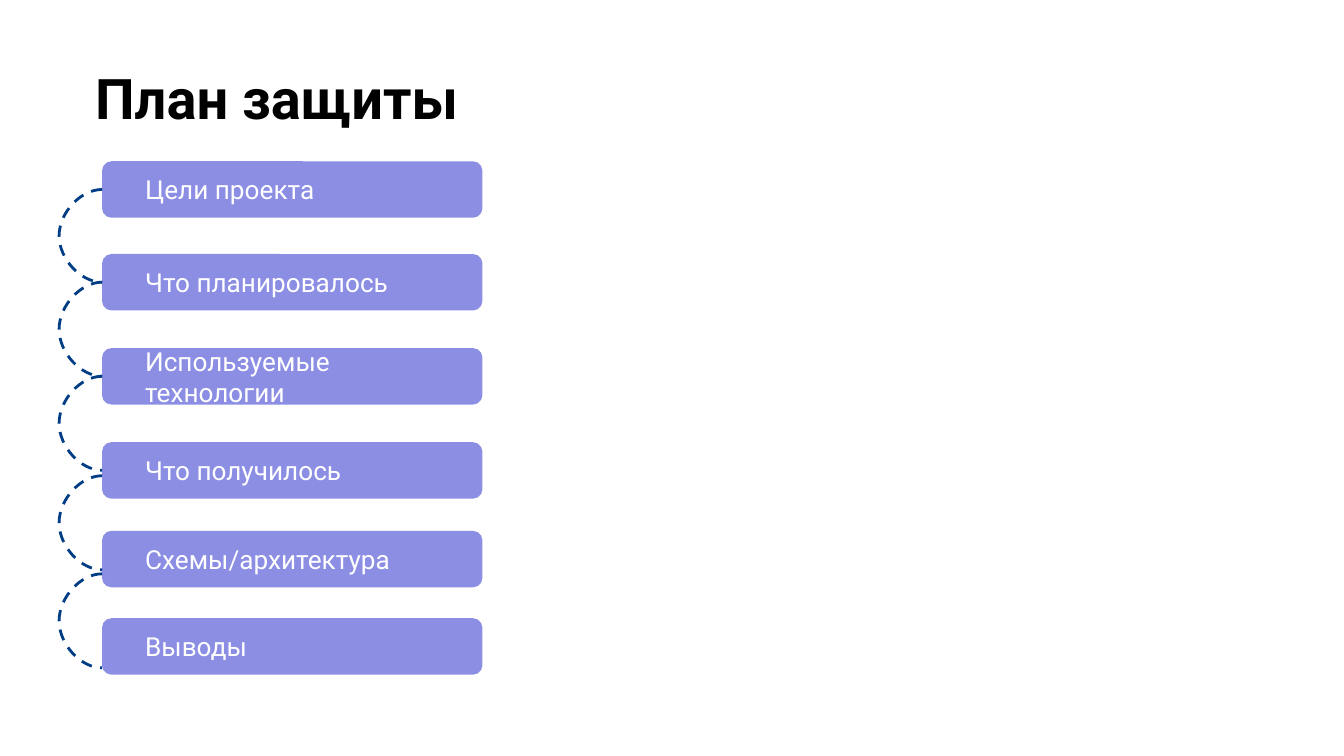
from dataclasses import dataclass

from pptx import Presentation
from pptx.dml.color import RGBColor
from pptx.enum.dml import MSO_LINE
from pptx.enum.shapes import MSO_CONNECTOR, MSO_SHAPE
from pptx.enum.text import MSO_ANCHOR, PP_ALIGN
from pptx.oxml import parse_xml
from pptx.oxml.ns import nsdecls, qn
from pptx.slide import Slide
from pptx.text.text import TextFrame
from pptx.util import Emu, Inches, Pt

COLORS = {"title": "000000", "box": "8B8EE3", "label": "FFFFFF", "curve": "013D85"}
FONT = "Roboto"
SLIDE_WIDTH = 10
SLIDE_HEIGHT = SLIDE_WIDTH * 9 / 16
BOX_LEFT, BOX_WIDTH, BOX_HEIGHT = 0.76, 2.83, 0.42
CURVE_SPAN = Emu(360)  # nearly vertical: the bulge is a multiple of this width
CURVE_BULGE = Inches(0.16)


@dataclass(frozen=True)
class Step:
    label: str
    top: float


@dataclass(frozen=True)
class Curve:
    start: float
    end: float


STEPS = [
    Step("Цели проекта", 1.2),
    Step("Что планировалось", 1.89),
    Step("Используемые технологии", 2.59),
    Step("Что получилось", 3.29),
    Step("Схемы/архитектура", 3.95),
    Step("Выводы", 4.6),
]
CURVES = [
    Curve(1.41, 2.1),
    Curve(2.1, 2.8),
    Curve(2.8, 3.5),
    Curve(3.54, 4.24),
    Curve(4.27, 4.97),
]


def color(name: str) -> RGBColor:
    return RGBColor.from_string(COLORS[name])


def write_text(frame: TextFrame, text: str, size: int, color_name: str,
               side_inset: float, bold: bool = False) -> None:
    frame.word_wrap = True
    frame.margin_left = frame.margin_right = Inches(side_inset)
    frame.margin_top = frame.margin_bottom = Inches(0.1)
    paragraph = frame.paragraphs[0]
    paragraph.alignment = PP_ALIGN.LEFT
    run = paragraph.add_run()
    run.text = text
    run.font.name = FONT
    run.font.size = Pt(size)
    run.font.bold = bold
    run.font.color.rgb = color(color_name)


def add_title(slide: Slide, text: str) -> None:
    box = slide.shapes.add_textbox(Inches(0.61), Inches(0.37), Inches(7.13), Inches(0.63))
    write_text(box.text_frame, text, 30, "title", 0.1, bold=True)


def add_step(slide: Slide, step: Step) -> None:
    shape = slide.shapes.add_shape(
        MSO_SHAPE.ROUNDED_RECTANGLE, Inches(BOX_LEFT), Inches(step.top),
        Inches(BOX_WIDTH), Inches(BOX_HEIGHT))
    shape.shadow.inherit = False
    shape.fill.solid()
    shape.fill.fore_color.rgb = color("box")
    shape.line.fill.background()
    shape.text_frame.vertical_anchor = MSO_ANCHOR.MIDDLE
    write_text(shape.text_frame, step.label, 14, "label", 0.3)


def add_curve(slide: Slide, curve: Curve) -> None:
    """Draw a dashed curve that bulges to the left of the boxes."""
    left = Inches(BOX_LEFT)
    connector = slide.shapes.add_connector(
        MSO_CONNECTOR.CURVE, left, Inches(curve.start), left + CURVE_SPAN, Inches(curve.end))
    connector.line.color.rgb = color("curve")
    connector.line.width = Pt(1.5)
    connector.line.dash_style = MSO_LINE.DASH
    properties = connector._element.spPr
    properties.append(parse_xml(f"<a:effectLst {nsdecls('a')}/>"))
    bulge = round(-CURVE_BULGE / CURVE_SPAN * 100000)
    geometry = properties.find(qn("a:prstGeom"))
    for guides in geometry.findall(qn("a:avLst")):
        geometry.remove(guides)
    geometry.append(parse_xml(
        f'<a:avLst {nsdecls("a")}><a:gd name="adj1" fmla="val {bulge}"/></a:avLst>'))


def main() -> None:
    presentation = Presentation()
    presentation.slide_width = Inches(SLIDE_WIDTH)
    presentation.slide_height = Inches(SLIDE_HEIGHT)
    slide = presentation.slides.add_slide(presentation.slide_layouts[6])
    add_title(slide, "План защиты")
    for step in STEPS:
        add_step(slide, step)
    for curve in CURVES:
        add_curve(slide, curve)
    presentation.save("out.pptx")


if __name__ == "__main__":
    main()
